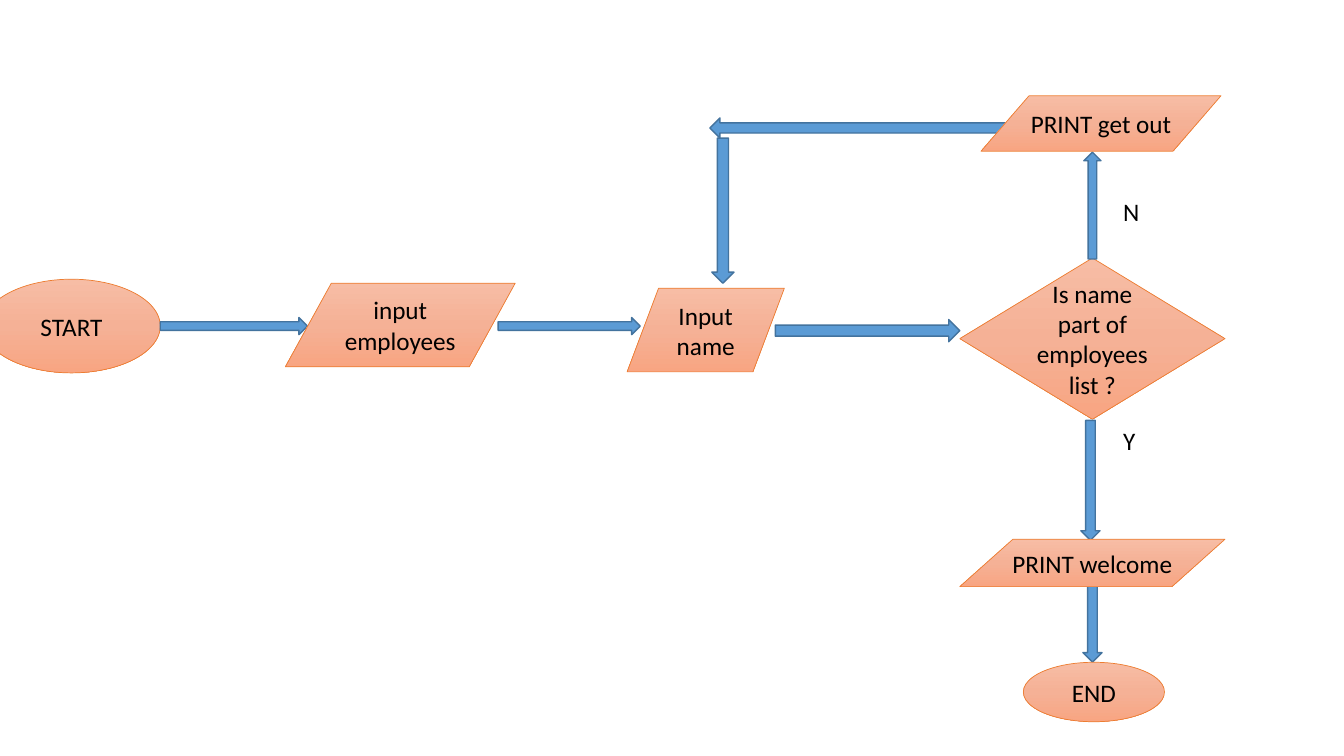
import copy

import pptx
import pptx.util
from pptx.dml.color import RGBColor
from pptx.enum.shapes import MSO_SHAPE
from pptx.enum.text import MSO_ANCHOR, MSO_AUTO_SIZE, PP_ALIGN
from pptx.util import Inches

BLACK = RGBColor(0x00, 0x00, 0x00)
ORANGE = RGBColor(0xED, 0x7D, 0x31)
BLUE = RGBColor(0x5B, 0x9B, 0xD5)
DARK_BLUE = RGBColor(0x43, 0x73, 0x9E)
PEACH_STOPS = [
    (0, RGBColor(0xF7, 0xBD, 0xA5)),
    (0.5, RGBColor(0xF5, 0xB1, 0x96)),
    (1, RGBColor(0xF8, 0xA5, 0x82)),
]

LABEL_FONT = {"name": "Calibri", "size": pptx.util.Pt(18)}
STEP_FRAME = {"word_wrap": True, "vertical_anchor": MSO_ANCHOR.MIDDLE}
# The print steps are too low for two lines, so their labels stay on one
PRINT_FRAME = {**STEP_FRAME, "word_wrap": False}
ANSWER_FRAME = {"word_wrap": True, "auto_size": MSO_AUTO_SIZE.SHAPE_TO_FIT_TEXT}

TERMINAL = MSO_SHAPE.OVAL
DATA = MSO_SHAPE.FLOWCHART_DATA
DECISION = MSO_SHAPE.FLOWCHART_DECISION
RIGHT, LEFT = MSO_SHAPE.RIGHT_ARROW, MSO_SHAPE.LEFT_ARROW
UP, DOWN = MSO_SHAPE.UP_ARROW, MSO_SHAPE.DOWN_ARROW

# Left, top, width and height of each region, in inches
MAIN_BOX = (-0.17, 2.56, 12.32, 1.6)
REJECT_BOX = (7.04, 0.95, 5.07, 1.86)
WELCOME_BOX = (9.52, 4.17, 2.63, 2.99)


def within(box, left, top, width, height):
    """Turn a place relative to a region into slide lengths."""
    return [Inches(v) for v in (box[0] + left, box[1] + top, width, height)]


def write_label(shape, text, frame_format, align):
    """Write formatted text into a shape."""
    frame = shape.text_frame
    for name, value in frame_format.items():
        setattr(frame, name, value)
    frame.text = text
    para = frame.paragraphs[0]
    para.alignment = align
    for span in para.runs:
        for name, value in LABEL_FONT.items():
            setattr(span.font, name, value)
        span.font.color.rgb = BLACK


def fill_peach(shape):
    """Give a shape the vertical three-stop peach gradient."""
    shape.fill.gradient()
    shape.fill.gradient_angle = 270
    stop_list = shape._element.xpath("./p:spPr/a:gradFill/a:gsLst")[0]
    stop_list.append(copy.deepcopy(stop_list[0]))
    for stop, (position, color) in zip(shape.fill.gradient_stops, PEACH_STOPS):
        stop.position = position
        stop.color.rgb = color


def outline(shape, color, points):
    """Set the line of a shape and drop its shadow."""
    shape.shadow.inherit = False
    shape.line.color.rgb = color
    shape.line.width = pptx.util.Pt(points)


def add_step(page, box, kind, text, *place, frame_format=STEP_FRAME):
    """Add one labelled flowchart step."""
    step = page.shapes.add_shape(kind, *within(box, *place))
    fill_peach(step)
    outline(step, ORANGE, 0.5)
    write_label(step, text, frame_format, PP_ALIGN.CENTER)


def add_arrow(page, box, kind, *place):
    """Add one block arrow."""
    arrow = page.shapes.add_shape(kind, *within(box, *place))
    arrow.fill.solid()
    arrow.fill.fore_color.rgb = BLUE
    outline(arrow, DARK_BLUE, 1)


def add_answer(page, box, text, *place):
    """Add the answer beside a branch of the decision."""
    answer = page.shapes.add_textbox(*within(box, *place))
    write_label(answer, text, ANSWER_FRAME, PP_ALIGN.LEFT)


def draw_main_flow(page, box):
    """Draw the row from the start to the decision."""
    add_step(page, box, TERMINAL, "START", 0, 0.21, 1.76, 0.93)
    add_arrow(page, box, RIGHT, 1.76, 0.59, 1.46, 0.17)
    add_step(page, box, DATA, "input employees", 3, 0.25, 2.28, 0.83)
    add_arrow(page, box, RIGHT, 5.11, 0.59, 1.41, 0.17)
    add_step(page, box, DATA, "Input name", 6.39, 0.3, 1.56, 0.83)
    add_arrow(page, box, RIGHT, 7.86, 0.61, 1.83, 0.22)
    add_step(page, box, DECISION, "Is name part of employees\vlist ?",
             9.69, 0, 2.63, 1.6)


def draw_reject_loop(page, box):
    """Draw the branch that returns to the name input."""
    add_arrow(page, box, UP, 3.71, 0.56, 0.17, 1.06)
    add_arrow(page, box, LEFT, 0, 0.22, 2.99, 0.2)
    add_arrow(page, box, DOWN, 0.02, 0.42, 0.22, 1.44)
    add_answer(page, box, "N", 4, 0.95, 0.98, 0.4)
    add_step(page, box, DATA, "PRINT get out", 2.69, 0, 2.38, 0.55,
             frame_format=PRINT_FRAME)


def draw_welcome_branch(page, box):
    """Draw the branch that leads to the end."""
    add_arrow(page, box, DOWN, 1.2, 0, 0.19, 1.19)
    add_arrow(page, box, DOWN, 1.22, 1.64, 0.19, 0.76)
    add_step(page, box, TERMINAL, "END", 0.63, 2.4, 1.4, 0.59)
    add_answer(page, box, "Y", 1.52, 0, 0.51, 0.4)
    add_step(page, box, DATA, "PRINT welcome", 0, 1.18, 2.63, 0.47,
             frame_format=PRINT_FRAME)


def main():
    """Build the flowchart slide and save it."""
    deck = pptx.Presentation()
    deck.slide_width, deck.slide_height = Inches(13.33), Inches(7.5)
    page = deck.slides.add_slide(deck.slide_layouts.get_by_name("Blank"))
    draw_main_flow(page, MAIN_BOX)
    draw_reject_loop(page, REJECT_BOX)
    draw_welcome_branch(page, WELCOME_BOX)
    deck.save("out.pptx")


main()
